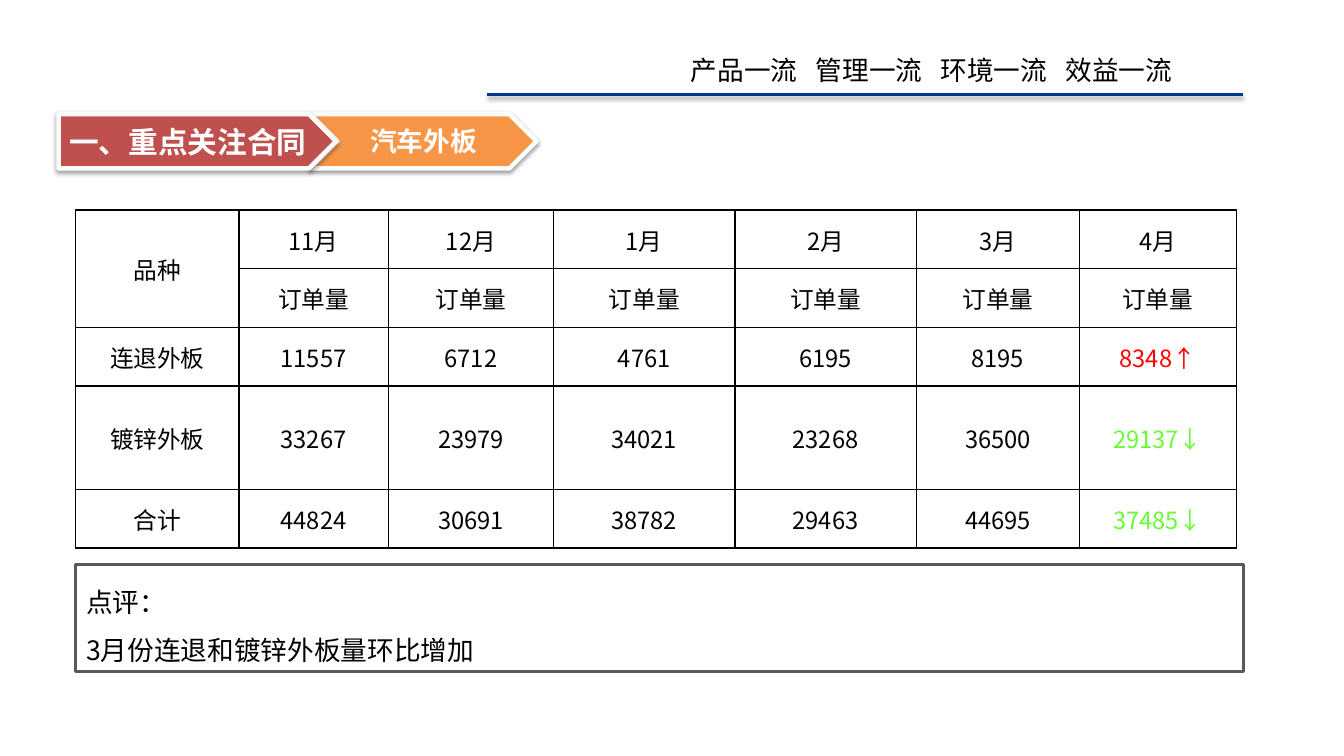
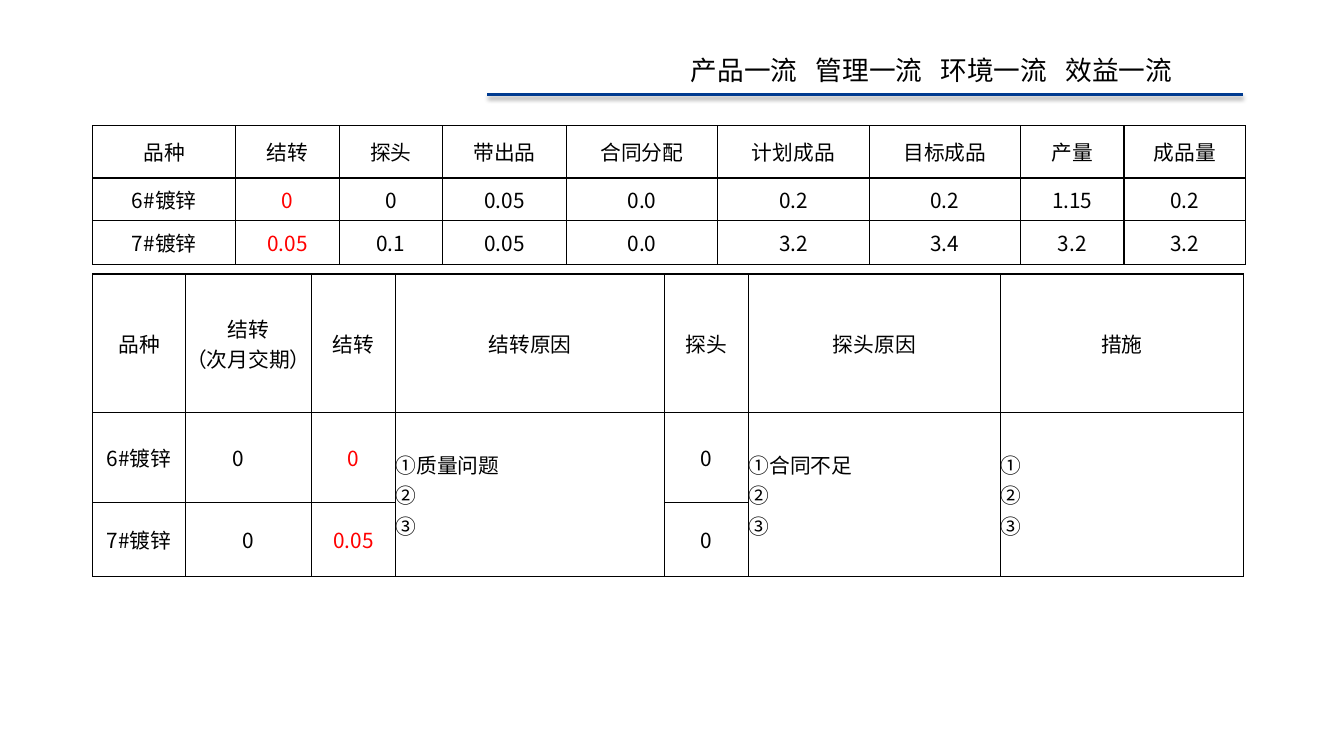
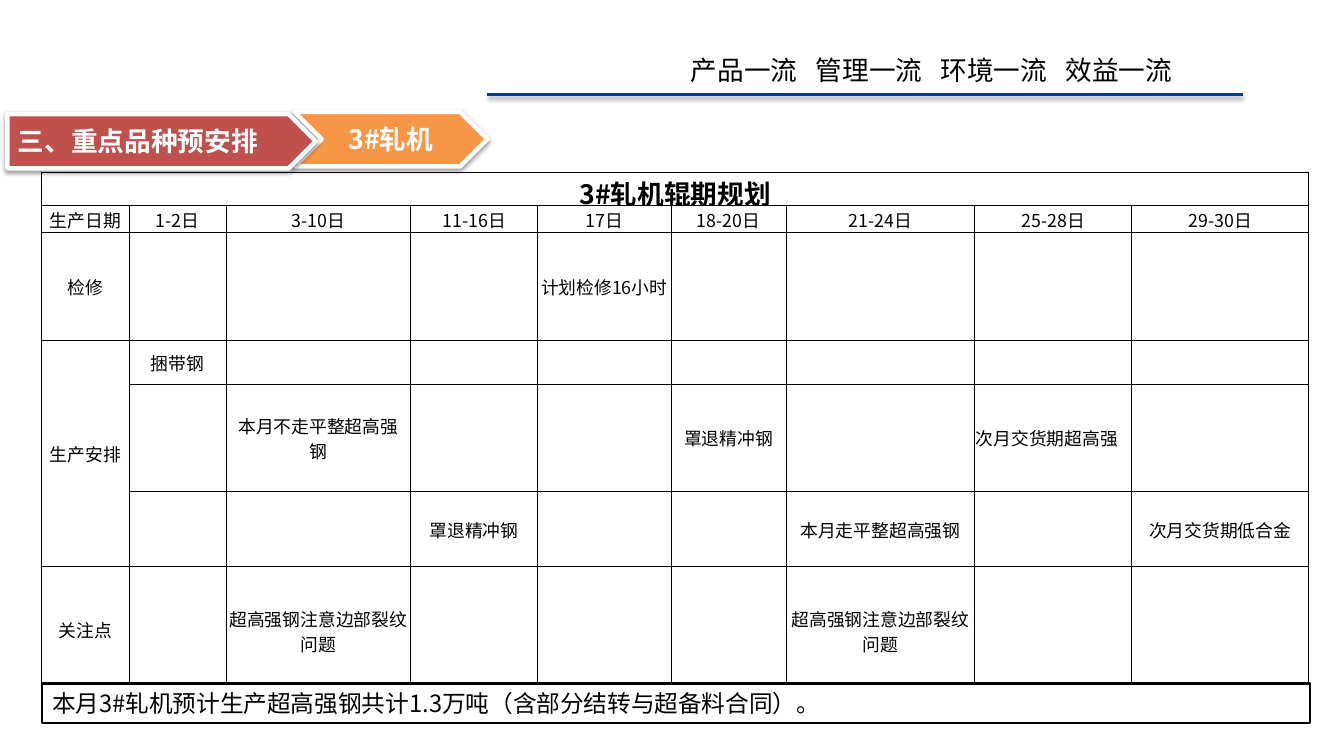
from dataclasses import dataclass

from pptx import Presentation
from pptx.dml.color import RGBColor
from pptx.enum.shapes import MSO_CONNECTOR, MSO_SHAPE
from pptx.enum.text import MSO_ANCHOR, PP_ALIGN
from pptx.oxml import parse_xml
from pptx.oxml.ns import nsdecls
from pptx.util import Inches, Pt

LEFT, CENTER = PP_ALIGN.LEFT, PP_ALIGN.CENTER
MIDDLE = MSO_ANCHOR.MIDDLE
RECTANGLE, CHEVRON, PENTAGON = MSO_SHAPE.RECTANGLE, MSO_SHAPE.CHEVRON, MSO_SHAPE.PENTAGON
STRAIGHT = MSO_CONNECTOR.STRAIGHT


@dataclass(frozen=True)
class Theme:
    font: str = "Noto Sans CJK SC"
    black: str = "000000"
    white: str = "FFFFFF"
    gray: str = "595959"
    blue: str = "003B90"
    brick: str = "C0504D"
    orange: str = "F79646"
    red: str = "FF0000"
    green: str = "66FF33"
    large: int = 20
    title: int = 18
    body: int = 16
    small: int = 14
    tiny: int = 12


theme = Theme()


def write(frame, text, size, color=theme.black, bold=False, align=LEFT):
    """Fill a text frame and format all its runs alike."""
    frame.word_wrap = True
    frame.text = text
    for para in frame.paragraphs:
        para.alignment = align
        for span in para.runs:
            span.font.size = Pt(size)
            span.font.bold = bold
            span.font.name = theme.font
            span.font.color.rgb = RGBColor.from_string(color)
            span._r.get_or_add_rPr().get_or_change_to_solidFill()
            span.font._element.find("{*}latin").addnext(
                parse_xml(f'<a:ea {nsdecls("a")} typeface="{theme.font}"/>'))


def add_grid(page, left, top, widths, heights, rows, size, merges=(), colors=None,
             margin=0.0, border=1.0):
    """Add a ruled white table; merges pair the first and last cell of each span."""
    table = page.shapes.add_table(len(rows), len(widths), Inches(left), Inches(top),
                                  Inches(sum(widths)), Inches(sum(heights))).table
    table.first_row = table.horz_banding = False
    for column, width in zip(table.columns, widths):
        column.width = Inches(width)
    for row, height in zip(table.rows, heights):
        row.height = Inches(height)
    for r, texts in enumerate(rows):
        for c, text in enumerate(texts):
            cell = table.cell(r, c)
            cell.margin_left = cell.margin_right = cell.margin_top = Inches(margin)
            cell.margin_bottom = 0
            cell.vertical_anchor = MIDDLE
            properties = cell._tc.get_or_add_tcPr()
            for side in ("lnL", "lnR", "lnT", "lnB"):
                properties.append(parse_xml(
                    f'<a:{side} {nsdecls("a")} w="{Pt(border)}"><a:solidFill>'
                    f'<a:srgbClr val="{theme.black}"/></a:solidFill></a:{side}>'))
            cell.fill.solid()
            cell.fill.fore_color.rgb = RGBColor.from_string(theme.white)
            if text:
                color = (colors or {}).get((r, c), theme.black)
                write(cell.text_frame, text, size, color, align=CENTER)
    for first, last in merges:
        table.cell(*first).merge(table.cell(*last))
    return table


deck = Presentation()
deck.slide_width, deck.slide_height = Inches(12.6), Inches(7.09)
pages = [deck.slides.add_slide(deck.slide_layouts[6]) for _ in range(3)]
orders_page, carryover_page, schedule_page = pages
raised = []

# Shared header
MOTTO = ["产品一流", "管理一流", "环境一流", "效益一流"]
MOTTO_PITCH = 1.17
for page in pages:
    box = page.shapes.add_textbox(Inches(6.38), Inches(0.46), Inches(5.77), Inches(0.4))
    write(box.text_frame, "\t".join(MOTTO), theme.title)
    stops = "".join(f'<a:tab pos="{Inches(MOTTO_PITCH * i)}" algn="l"/>'
                    for i in range(1, len(MOTTO)))
    box.text_frame.paragraphs[0]._p.get_or_add_pPr().append(
        parse_xml(f'<a:tabLst {nsdecls("a")}>{stops}</a:tabLst>'))
    rule = page.shapes.add_connector(STRAIGHT, Inches(4.57), Inches(0.89),
                                     Inches(11.65), Inches(0.89))
    rule.line.color.rgb = RGBColor.from_string(theme.blue)
    rule.line.width = Pt(2)
    raised.append(rule)

# Slide 1: orders by month
months = ["11月", "12月", "1月", "2月", "3月", "4月"]
add_grid(
    orders_page, 0.71, 1.97, [1.53, 1.4, 1.55, 1.7, 1.7, 1.53, 1.47],
    [0.55, 0.55, 0.55, 0.97, 0.55],
    [["品种"] + months,
     [""] + ["订单量"] * len(months),
     ["连退外板", "11557", "6712", "4761", "6195", "8195", "8348↑"],
     ["镀锌外板", "33267", "23979", "34021", "23268", "36500", "29137↓"],
     ["合计", "44824", "30691", "38782", "29463", "44695", "37485↓"]],
    theme.body, merges=[((0, 0), (1, 0))], margin=0.01,
    colors={(2, 6): theme.red, (3, 6): theme.green, (4, 6): theme.green})

# Slide 2: carry-over figures and their causes
add_grid(
    carryover_page, 0.87, 1.18, [1.34, 0.97, 0.97, 1.16, 1.42, 1.42, 1.42, 0.97, 1.14],
    [0.49, 0.4, 0.41],
    [["品种", "结转", "探头", "带出品", "合同分配", "计划成品", "目标成品", "产量", "成品量"],
     ["6#镀锌", "0", "0", "0.05", "0.0", "0.2", "0.2", "1.15", "0.2"],
     ["7#镀锌", "0.05", "0.1", "0.05", "0.0", "3.2", "3.4", "3.2", "3.2"]],
    theme.small, colors={(1, 1): theme.red, (2, 1): theme.red})

cause_columns = (3, 5, 6)
causes = add_grid(
    carryover_page, 0.87, 2.57, [0.87, 1.18, 0.79, 2.52, 0.79, 2.36, 2.28],
    [1.3, 0.84, 0.7],
    [["品种", "结转\n（次月交期）", "结转", "结转原因", "探头", "探头原因", "措施"],
     ["6#镀锌", "0", "0", "①质量问题\n②\n③", "0", "①合同不足\n②\n③", "①\n②\n③"],
     ["7#镀锌", "0", "0.05", "", "0", "", ""]],
    theme.small, merges=[((1, c), (2, c)) for c in cause_columns],
    colors={(1, 2): theme.red, (2, 2): theme.red})
for c in cause_columns:
    for para in causes.cell(1, c).text_frame.paragraphs:
        para.alignment = LEFT
causes.cell(1, 1).margin_right = Inches(0.2)

# Slide 3: rolling schedule
schedule = add_grid(
    schedule_page, 0.39, 1.62, [0.82, 0.91, 1.73, 1.19, 1.25, 1.08, 1.77, 1.47, 1.66],
    [0.31, 0.25, 1.01, 0.41, 1.01, 0.7, 1.21],
    [[""] * 9,
     ["生产日期", "1-2日", "3-10日", "11-16日", "17日", "18-20日", "21-24日", "25-28日", "29-30日"],
     ["检修", "", "", "", "计划检修16小时", "", "", "", ""],
     ["生产安排", "捆带钢", "", "", "", "", "", "", ""],
     ["", "", "本月不走平整超高强钢", "", "", "罩退精冲钢", "", "次月交货期超高强", ""],
     ["", "", "", "罩退精冲钢", "", "", "本月走平整超高强钢", "", "次月交货期低合金"],
     ["关注点", "", "超高强钢注意边部裂纹问题", "", "", "", "超高强钢注意边部裂纹问题", "", ""]],
    theme.tiny, merges=[((0, 0), (0, 8)), ((3, 0), (5, 0))], margin=0.01, border=0.5)
write(schedule.cell(0, 0).text_frame, "3#轧机辊期规划", theme.title, bold=True, align=CENTER)
schedule.cell(4, 7).text_frame.paragraphs[0].alignment = LEFT
schedule.cell(6, 0).text_frame.paragraphs[0].line_spacing = 0.8
unsmoothed = schedule.cell(4, 2)
unsmoothed.margin_left = unsmoothed.margin_right = Inches(0.1)

# Remark boxes
remarks = [
    (orders_page, 0.71, 5.29, 10.95, 1.01, theme.gray, 2, theme.title, 1.5,
     "点评：\n3月份连退和镀锌外板量环比增加"),
    (schedule_page, 0.39, 6.41, 11.89, 0.37, theme.black, 1.5, theme.body, 1.0,
     "本月3#轧机预计生产超高强钢共计1.3万吨（含部分结转与超备料合同）。"),
]
for page, left, top, width, height, color, weight, size, spacing, text in remarks:
    box = page.shapes.add_shape(RECTANGLE, Inches(left), Inches(top),
                                Inches(width), Inches(height))
    box.shadow.inherit = False
    box.fill.solid()
    box.fill.fore_color.rgb = RGBColor.from_string(theme.white)
    box.line.color.rgb = RGBColor.from_string(color)
    box.line.width = Pt(weight)
    box.text_frame.vertical_anchor = MIDDLE
    write(box.text_frame, text, size)
    for para in box.text_frame.paragraphs:
        para.line_spacing = spacing

# Section arrows
arrows = [
    (orders_page, CHEVRON, 2.91, 1.07, 2.12, theme.orange, theme.title, CENTER, "汽车外板"),
    (orders_page, PENTAGON, 0.55, 1.07, 2.6, theme.brick, theme.large, LEFT, "一、重点关注合同"),
    (schedule_page, CHEVRON, 2.76, 1.05, 1.81, theme.orange, theme.title, CENTER, "3#轧机"),
    (schedule_page, PENTAGON, 0.07, 1.07, 2.89, theme.brick, theme.title, LEFT, "三、重点品种预安排"),
]
for page, kind, left, top, width, color, size, align, text in arrows:
    arrow = page.shapes.add_shape(kind, Inches(left), Inches(top), Inches(width), Inches(0.51))
    arrow.adjustments[0] = 0.5
    arrow.fill.solid()
    arrow.fill.fore_color.rgb = RGBColor.from_string(color)
    arrow.line.color.rgb = RGBColor.from_string(theme.white)
    arrow.line.width = Pt(3)
    arrow.text_frame.vertical_anchor = MIDDLE
    write(arrow.text_frame, text, size, theme.white, bold=True, align=align)
    raised.append(arrow)

# Soft shadow under header rules and arrows
for shape in raised:
    shape._element.spPr.append(parse_xml(
        f'<a:effectLst {nsdecls("a")}><a:outerShdw blurRad="{Pt(3.1)}" dist="{Pt(1.6)}" '
        f'dir="5400000" rotWithShape="0"><a:srgbClr val="{theme.black}">'
        '<a:alpha val="38000"/></a:srgbClr></a:outerShdw></a:effectLst>'))

deck.save("out.pptx")
